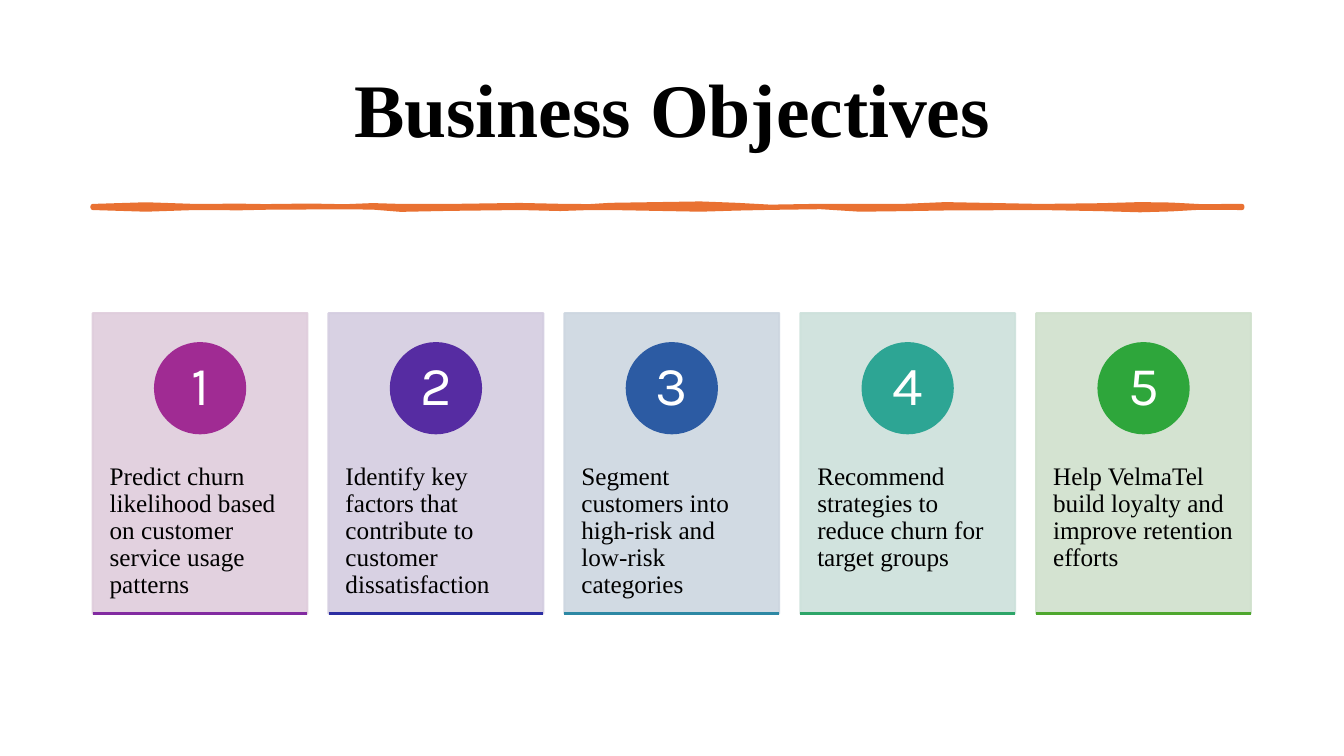
from pptx import Presentation
from pptx import util as u
from pptx.dml import color
from pptx.enum import shapes, text
from pptx.oxml import xmlchemy, ns
from lxml import etree

Pt = u.Pt
SERIF = "Times New Roman"
ORANGE = "E97132"
LEFT = 66.24
CARD_W, CARD_H, CARD_PITCH = 153.4, 214.56, 168.48

CARDS = [
    ("Predict churn likelihood based on customer service usage patterns", "DFCDDC", "A02B93", "822BA1"),
    ("Identify key factors that contribute to customer dissatisfaction", "D4CDE0", "562CA2", "2C2EA2"),
    ("Segment customers into high-risk and low-risk categories", "CDD6E0", "2C5BA3", "2D88A4"),
    ("Recommend strategies to reduce churn for target groups", "CDE1DB", "2DA594", "2DA568"),
    ("Help VelmaTel build loyalty and improve retention efforts", "D0E1CD", "2EA63B", "4EA72E"),
]

BRUSH_EDGES = [
    (0, 0.3, 1.4), (38, -0.9, 2.6), (73, 0.3, 1.4), (105, 0.1, 1.6),
    (123, 0.4, 1.2), (155, 0, 1), (180, 0.5, 0.9), (200, -0.3, 1.1),
    (220, 0.3, 2.7), (255, 0.3, 2), (305, -0.4, 1.4), (334, 0.2, 2.1),
    (355, 0.4, 1.4), (370, -0.5, 1.4), (434, -1.5, 2.6), (460, -0.5, 1.8),
    (484, 0.8, 1.3), (520, 0.2, 0.8), (548, 0.3, 2.6), (580, 0.2, 2.2),
    (609, -1, 1.7), (677, 0.3, 1.4), (720, -0.2, 2.2), (748, -1, 3),
    (770, -0.7, 2.4), (791, 0.4, 1.2), (821, 0.3, 1.4),
]


def rgb(value):
    return color.RGBColor.from_string(value)


def paint(sp, value, width, alpha=None):
    sp.shadow.inherit = False
    sp.fill.solid()
    sp.line.fill.solid()
    sp.line.width = Pt(width)
    for fill in (sp.fill, sp.line.fill):
        fill.fore_color.rgb = rgb(value)
    if alpha:
        for clr in sp._element.spPr.iter(ns.qn("a:srgbClr")):
            etree.SubElement(clr, ns.qn("a:alpha")).set("val", str(alpha * 1000))


def write(sp, words, size, font, value, align, anchor, insets, bold=False):
    tf = sp.text_frame
    tf.text = words
    tf.word_wrap = True
    tf.vertical_anchor = anchor
    tf.margin_left = tf.margin_right = Pt(insets[0])
    tf.margin_top = tf.margin_bottom = Pt(insets[1])
    p = tf.paragraphs[0]
    p.alignment = align
    p.line_spacing = 0.9
    r = p.runs[0]
    r.font.size = Pt(size)
    r.font.name = font
    r.font.bold = bold
    r.font.color.rgb = rgb(value)


def add_title(s, x, y, w, h):
    sp = s.shapes.add_textbox(Pt(x), Pt(y), Pt(w), Pt(h))
    write(sp, "Business Objectives", 54, SERIF, "000000",
          text.PP_ALIGN.CENTER, text.MSO_ANCHOR.MIDDLE, (7.2, 3.6), True)


def add_brush_line(s, x, y):
    top = [(Pt(x + dx), Pt(y + above)) for dx, above, below in BRUSH_EDGES]
    bottom = [(Pt(x + dx), Pt(y + below)) for dx, above, below in reversed(BRUSH_EDGES)]
    builder = s.shapes.build_freeform(*top[0])
    builder.add_line_segments(top[1:] + bottom, close=True)
    sp = builder.convert_to_shape()
    paint(sp, ORANGE, 3.25)
    etree.SubElement(sp.line._get_or_add_ln(), ns.qn("a:round"))


def add_card(s, x, y, w, h, number, words, tint, accent, rule):
    panel = s.shapes.add_shape(shapes.MSO_SHAPE.RECTANGLE, Pt(x), Pt(y), Pt(w), Pt(h))
    paint(panel, tint, 1.5, 90)

    body = s.shapes.add_textbox(Pt(x), Pt(y + 81.4), Pt(w), Pt(128.9))
    write(body, words, 18, SERIF, "000000",
          text.PP_ALIGN.LEFT, text.MSO_ANCHOR.TOP, (12.1, 25.8))

    size = 64.4
    badge = s.shapes.add_shape(shapes.MSO_SHAPE.OVAL, Pt(x + (w - size) / 2), Pt(y + 21.4), Pt(size), Pt(size))
    paint(badge, accent, 1.5)
    write(badge, str(number), 39, "Karla", "FFFFFF",
          text.PP_ALIGN.CENTER, text.MSO_ANCHOR.MIDDLE, (0, 0))

    base = s.shapes.add_connector(shapes.MSO_CONNECTOR.STRAIGHT, Pt(x), Pt(y + h), Pt(x + w), Pt(y + h))
    base.line.color.rgb = rgb(rule)
    base.line.width = Pt(1.5)
    etree.SubElement(base._element.spPr, ns.qn("a:effectLst"))


def main():
    prs = Presentation()
    prs.slide_width, prs.slide_height = Pt(960), Pt(540)
    s = prs.slides.add_slide(prs.slide_layouts[6])
    add_title(s, LEFT, 28.8, 828, 104.4)
    add_brush_line(s, LEFT, 147)
    for i, card in enumerate(CARDS):
        add_card(s, LEFT + i * CARD_PITCH, 223.7, CARD_W, CARD_H, i + 1, *card)
    prs.save("out.pptx")


if __name__ == "__main__":
    main()
